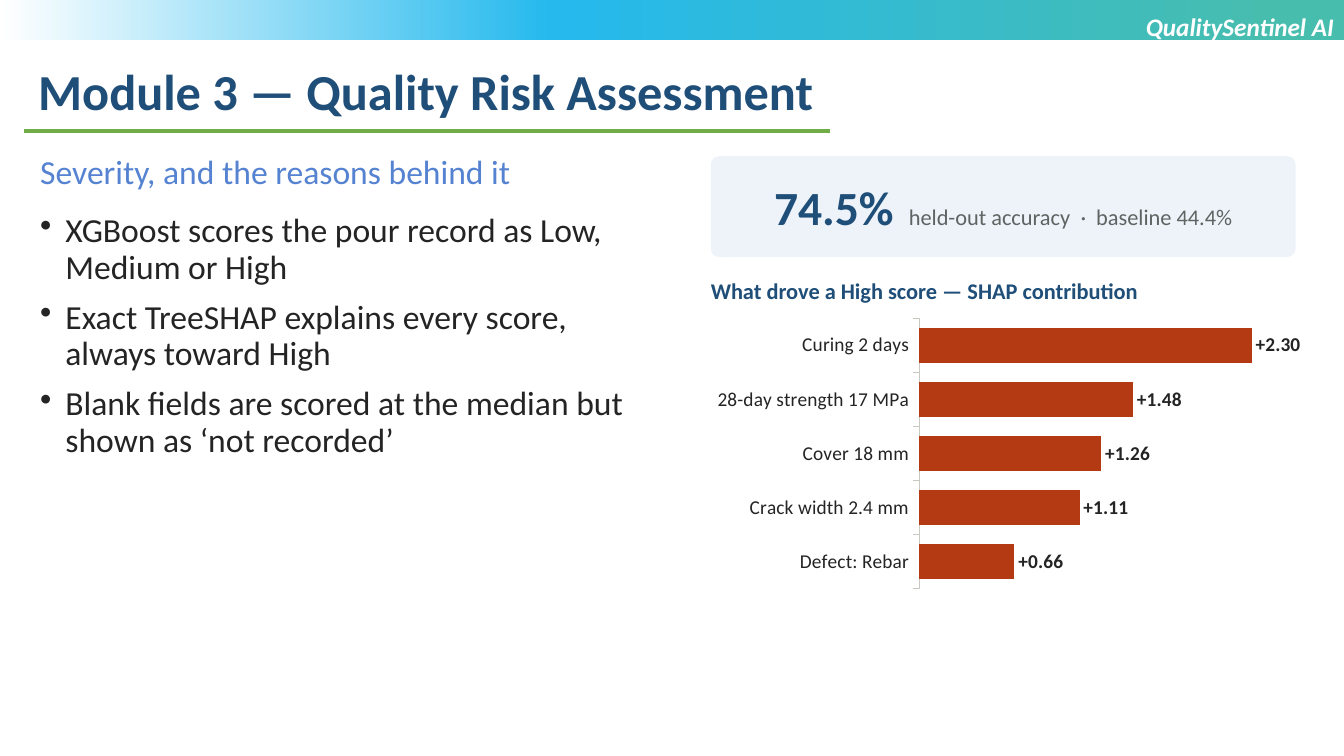
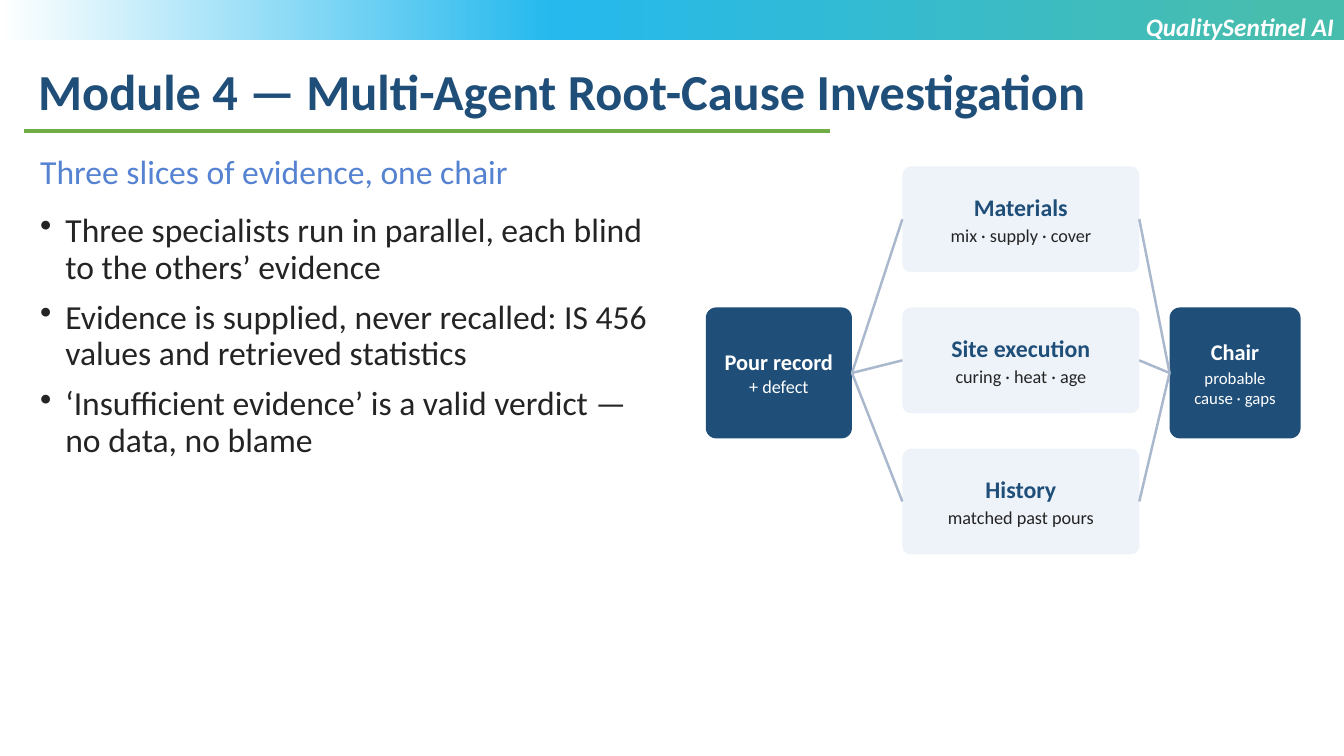
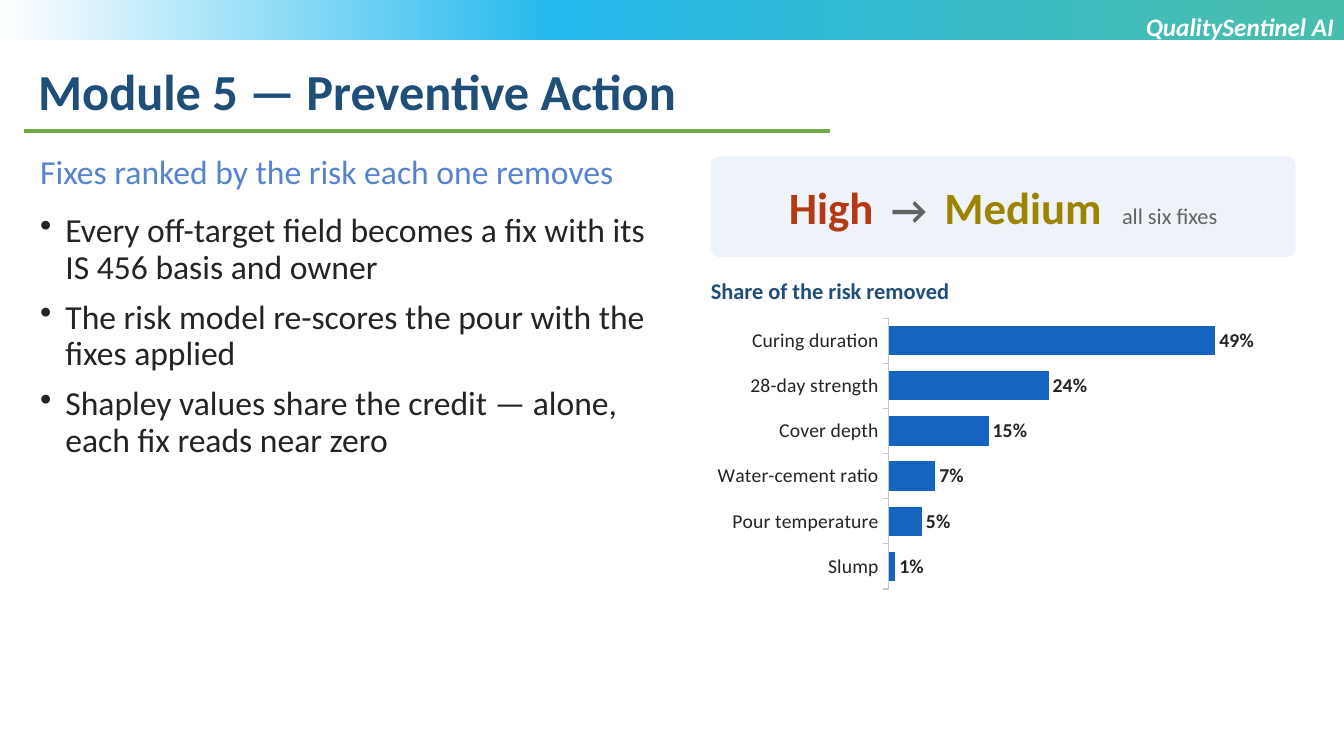
import copy

import pptx
import pptx.chart.data
import pptx.dml.color
import pptx.enum.chart
import pptx.enum.shapes
import pptx.enum.text
import pptx.oxml
import pptx.oxml.ns
import pptx.util

Inches = pptx.util.Inches
Pt = pptx.util.Pt
Shapes = pptx.enum.shapes.MSO_SHAPE
Align = pptx.enum.text.PP_ALIGN
Anchor = pptx.enum.text.MSO_ANCHOR
qn = pptx.oxml.ns.qn

FONT = "Calibri"
NAVY, BLUE, RUST, OLIVE = "1F4E79", "1565C0", "B33A12", "9C8400"
INK, GREY, WHITE, PALE = "242424", "5E6462", "FFFFFF", "EEF3FA"
SUBTITLE, GREEN, LINK, AXIS = "5583D1", "70AD47", "A9B8CC", "C6C8C1"
BAND_STOPS = [(0.05, "47BDAE"), (0.59, "25B9ED"), (1, "FFFFFF")]
BRAND = "QualitySentinel AI"
TOP, LEFT, BOTTOM, RIGHT = range(4)


def rgb(value):
    return pptx.dml.color.RGBColor.from_string(value)


def style(font, color, **values):
    font.color.rgb = rgb(color)
    for name, value in {"name": FONT, **values}.items():
        setattr(font, name, value)


def run(text, size, color, bold=False, italic=False, tracking=0):
    return {"text": text, "tracking": tracking, "color": color,
            "size": Pt(size), "bold": bold, "italic": italic}


def paragraph(*runs, bullet=False, **values):
    return {"runs": runs, "bullet": bullet, "values": values}


class Deck:
    def __init__(self):
        self.presentation = pptx.Presentation()
        self.presentation.slide_width = Inches(13.33)
        self.presentation.slide_height = Inches(7.5)
        self.slide = None

    def start(self, title, subtitle, bullets):
        self.slide = self.presentation.slides.add_slide(self.presentation.slide_layouts[6])
        self.band()
        points = [paragraph(run(point, 24, INK), bullet=True, line_spacing=0.9, space_before=Pt(10))
                  for point in bullets]
        self.text((0.3, 1.45, 6.35, 4.5),
                  [paragraph(run(subtitle, 24, SUBTITLE), space_after=Pt(6)), *points])
        self.text((0.28, 0.55, 11.62, 0.71), [paragraph(run(title, 36, NAVY, True))])
        self.line(GREEN, 2.25, (0.24, 1.3), (8.23, 1.3))
        self.text((6.66, 0.06, 6.67, 0.71),
                  [paragraph(run(BRAND, 18, WHITE, True, True), alignment=Align.RIGHT)])

    def shape(self, kind, box):
        shape = self.slide.shapes.add_shape(kind, *map(Inches, box))
        shape.shadow.inherit = False
        shape.line.fill.background()
        return shape

    def band(self):
        fill = self.shape(Shapes.RECTANGLE, (0, 0, 13.33, 0.4)).fill
        fill.gradient()
        fill.gradient_angle = 180
        stop_list = self.slide.shapes[-1]._element.spPr.find(qn("a:gradFill")).find(qn("a:gsLst"))
        stop_list.append(copy.deepcopy(stop_list[0]))
        for stop, (position, color) in zip(fill.gradient_stops, BAND_STOPS):
            stop.position = position
            stop.color.rgb = rgb(color)

    def fill_text(self, frame, paragraphs, margins):
        frame.word_wrap = True
        sides = ("margin_left", "margin_top", "margin_right", "margin_bottom")
        for side, margin in zip(sides, margins):
            setattr(frame, side, Inches(margin))
        for index, content in enumerate(paragraphs):
            target = frame.add_paragraph() if index else frame.paragraphs[0]
            if content["bullet"]:
                properties = target._p.get_or_add_pPr()
                properties.set("marL", str(Inches(0.25)))
                properties.set("indent", str(-Inches(0.25)))
                properties.append(pptx.oxml.parse_xml(
                    '<a:buChar xmlns:a="http://schemas.openxmlformats.org/drawingml/2006/main" char="•"/>'))
            for name, value in content["values"].items():
                setattr(target, name, value)
            for values in content["runs"]:
                values = dict(values)
                piece = target.add_run()
                piece.text = values.pop("text")
                tracking = values.pop("tracking")
                style(piece.font, **values)
                if tracking:
                    piece._r.get_or_add_rPr().set("spc", str(round(tracking * 100)))

    def text(self, box, paragraphs, margins=(0.1, 0.05, 0.1, 0.05)):
        shape = self.slide.shapes.add_textbox(*map(Inches, box))
        self.fill_text(shape.text_frame, paragraphs, margins)

    def card(self, box, fill, paragraphs):
        shape = self.shape(Shapes.ROUNDED_RECTANGLE, box)
        shape.adjustments[0] = 0.08
        shape.fill.solid()
        shape.fill.fore_color.rgb = rgb(fill)
        shape.text_frame.vertical_anchor = Anchor.MIDDLE
        for content in paragraphs:
            content["values"]["alignment"] = Align.CENTER
        self.fill_text(shape.text_frame, paragraphs, (0.14, 0.08, 0.14, 0.08))
        return shape

    def line(self, color, width, start=(0, 0), end=(0, 0)):
        connector = self.slide.shapes.add_connector(
            pptx.enum.shapes.MSO_CONNECTOR.STRAIGHT, *map(Inches, (*start, *end)))
        connector.line.color.rgb = rgb(color)
        connector.line.width = Pt(width)
        properties = connector._element.spPr
        properties.append(properties.makeelement(qn("a:effectLst"), {}))
        return connector

    def join(self, source, target):
        connector = self.line(LINK, 1.75)
        connector.begin_connect(source, RIGHT)
        connector.end_connect(target, LEFT)

    def result(self, runs, heading, values, color, number_format):
        self.card((7.05, 1.55, 5.8, 1), PALE, [paragraph(*runs)])
        self.text((7.05, 2.75, 5.8, 0.4), [paragraph(run(heading, 16, NAVY, True))], (0, 0, 0, 0))
        self.bars((7, 3.1, 5.9, 2.8), values, color, number_format)

    def bars(self, box, values, color, number_format):
        data = pptx.chart.data.CategoryChartData()
        data.categories = list(values)
        data.add_series("Series 1", list(values.values()))
        chart = self.slide.shapes.add_chart(
            pptx.enum.chart.XL_CHART_TYPE.BAR_CLUSTERED, *map(Inches, box), data).chart
        style(chart.font, "000000", size=Pt(14))
        chart.has_legend = False
        chart.has_title = False

        category_axis = chart.category_axis
        category_axis.reverse_order = True
        category_axis.has_major_gridlines = False
        category_axis.format.line.color.rgb = rgb(AXIS)
        category_axis.format.line.width = Pt(0.75)
        style(category_axis.tick_labels.font, INK, size=Pt(14))
        chart.value_axis.visible = False
        chart.value_axis.has_major_gridlines = False
        chart.value_axis.minimum_scale = 0

        plot = chart.plots[0]
        plot.gap_width = 55
        plot.vary_by_categories = False
        fill = plot.series[0].format.fill
        fill.solid()
        fill.fore_color.rgb = rgb(color)
        plot.has_data_labels = True
        labels = plot.data_labels
        label_format = {
            "show_value": True,
            "number_format": number_format,
            "number_format_is_linked": False,
            "position": pptx.enum.chart.XL_LABEL_POSITION.OUTSIDE_END,
        }
        for name, value in label_format.items():
            setattr(labels, name, value)
        style(labels.font, INK, size=Pt(14), bold=True)


def risk_assessment(deck):
    deck.start("Module 3 — Quality Risk Assessment", "Severity, and the reasons behind it", [
        "XGBoost scores the pour record as Low, Medium or High",
        "Exact TreeSHAP explains every score, always toward High",
        "Blank fields are scored at the median but shown as ‘not recorded’",
    ])
    wide_space = run(" ", 16, GREY, tracking=3.6)
    deck.result(
        [run("74.5%", 34, NAVY, True), run(" ", 16, GREY, tracking=7.2),
         run("held-out accuracy", 16, GREY), wide_space, run("·", 16, GREY), wide_space,
         run("baseline 44.4%", 16, GREY)],
        "What drove a High score — SHAP contribution",
        {"Curing 2 days": 2.3, "28-day strength 17 MPa": 1.48, "Cover 18 mm": 1.26,
         "Crack width 2.4 mm": 1.11, "Defect: Rebar": 0.66},
        RUST, '"+"0.00')


def root_cause(deck):
    deck.start("Module 4 — Multi-Agent Root-Cause Investigation", "Three slices of evidence, one chair", [
        "Three specialists run in parallel, each blind to the others’ evidence",
        "Evidence is supplied, never recalled: IS 456 values and retrieved statistics",
        "‘Insufficient evidence’ is a valid verdict — no data, no blame",
    ])
    record = deck.card((7, 3.05, 1.45, 1.3), NAVY, [
        paragraph(run("Pour record", 16, WHITE, True)), paragraph(run("+ defect", 13, WHITE))])
    chair = deck.card((11.6, 3.05, 1.3, 1.3), NAVY, [
        paragraph(run("Chair", 16, WHITE, True)),
        paragraph(run("probable cause · gaps", 12, WHITE), space_before=Pt(2))])
    specialists = [("Materials", "mix · supply · cover"), ("Site execution", "curing · heat · age"),
                   ("History", "matched past pours")]
    for index, (name, evidence) in enumerate(specialists):
        specialist = deck.card((8.95, 1.65 + 1.4 * index, 2.35, 1.05), PALE, [
            paragraph(run(name, 17, NAVY, True)),
            paragraph(run(evidence, 13, INK), space_before=Pt(2))])
        deck.join(record, specialist)
        deck.join(specialist, chair)


def preventive_action(deck):
    deck.start("Module 5 — Preventive Action", "Fixes ranked by the risk each one removes", [
        "Every off-target field becomes a fix with its IS 456 basis and owner",
        "The risk model re-scores the pour with the fixes applied",
        "Shapley values share the credit — alone, each fix reads near zero",
    ])
    wide_space = run(" ", 28, GREY, True, tracking=6.3)
    deck.result(
        [run("High", 32, RUST, True), wide_space, run("→", 28, GREY, True), wide_space,
         run("Medium", 32, OLIVE, True), run(" ", 16, GREY, tracking=10.8),
         run("all six fixes", 16, GREY)],
        "Share of the risk removed",
        {"Curing duration": 0.49, "28-day strength": 0.24, "Cover depth": 0.15,
         "Water-cement ratio": 0.07, "Pour temperature": 0.05, "Slump": 0.01},
        BLUE, "0%")


def main():
    deck = Deck()
    for build in (risk_assessment, root_cause, preventive_action):
        build(deck)
    deck.presentation.save("out.pptx")


if __name__ == "__main__":
    main()
